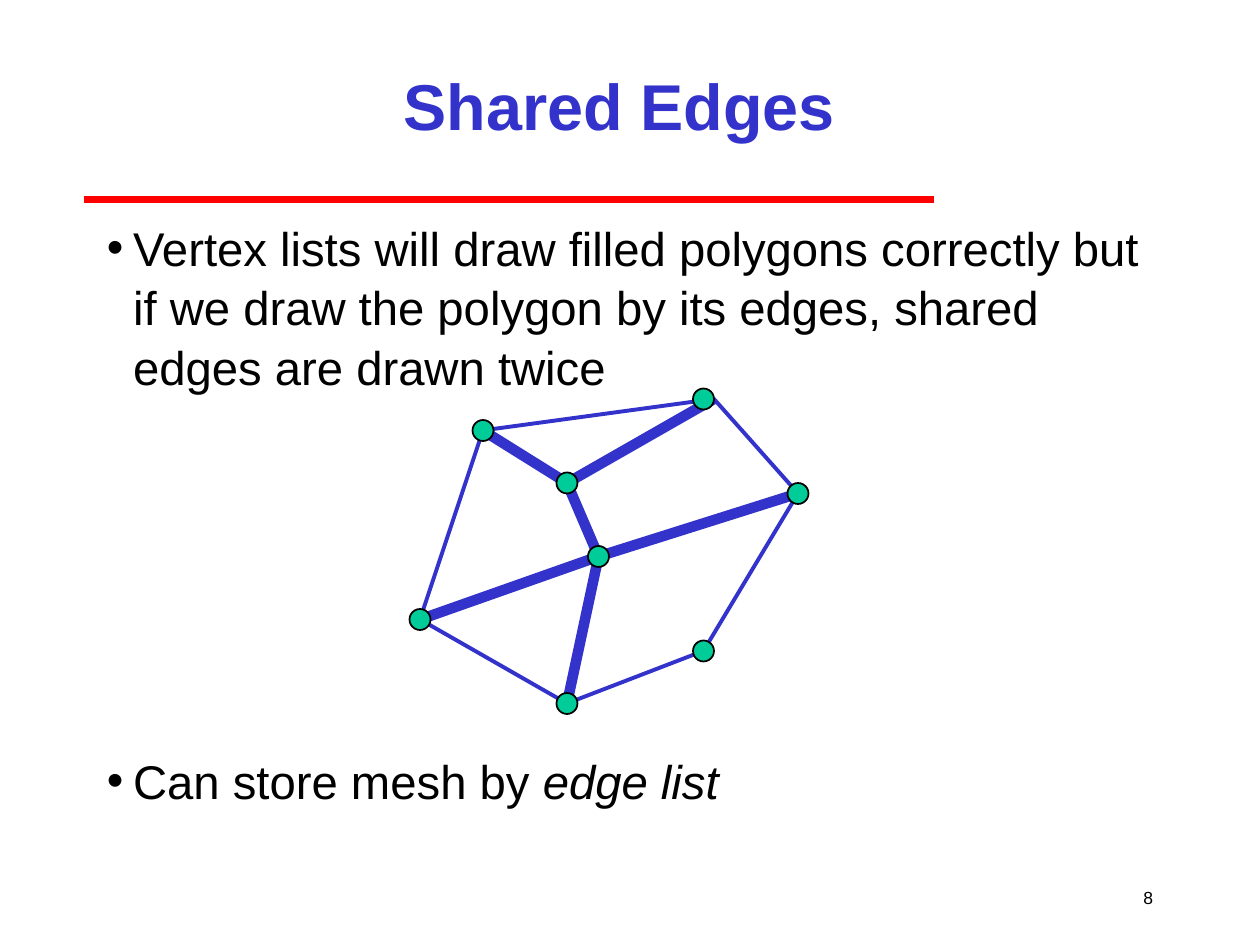
from dataclasses import dataclass

from lxml.etree import SubElement
from pptx import Presentation
from pptx.dml.color import RGBColor as Color
from pptx.enum.shapes import MSO_CONNECTOR as Connector, MSO_SHAPE as Preset
from pptx.enum.text import MSO_ANCHOR as Anchor, PP_ALIGN as Align
from pptx.oxml.ns import qn
from pptx.util import Cm, Pt


@dataclass(frozen=True)
class Theme:
    font: str = "Arial"
    accent: Color = Color(0x33, 0x33, 0xCC)
    rule: Color = Color(0xFF, 0x00, 0x00)
    vertex: Color = Color(0x00, 0xCC, 0x99)
    ink: Color = Color(0x00, 0x00, 0x00)
    title_size: float = 37
    body_size: float = 27
    number_size: float = 10


@dataclass(frozen=True)
class Point:
    x: int
    y: int


@dataclass(frozen=True)
class Box:
    left: int
    top: int
    width: int
    height: int


@dataclass(frozen=True)
class Run:
    text: str
    italic: bool = False


@dataclass(frozen=True)
class Bullet:
    runs: tuple[Run, ...]
    space_before: float


THEME = Theme()

# Mesh vertices, in grid units
LEFT, TOP_LEFT, TOP = Point(40, 59), Point(46, 41), Point(68, 38)
RIGHT, LOW_RIGHT, BOTTOM = Point(76, 47), Point(67, 62), Point(54, 67)
HUB, INNER = Point(57, 53), Point(54, 46)
TOP_DOT = Point(67, 38)

OUTLINE = (LEFT, TOP_LEFT, TOP, RIGHT, LOW_RIGHT, BOTTOM)
SHARED_EDGES = ((LEFT, HUB), (HUB, BOTTOM), (HUB, RIGHT),
                (HUB, INNER), (INNER, TOP), (INNER, TOP_LEFT))
DOTS = (LEFT, TOP_LEFT, HUB, BOTTOM, LOW_RIGHT, INNER, RIGHT, TOP_DOT)

BULLETS = (
    Bullet((Run("Vertex lists will draw filled polygons correctly but if we draw "
                "the polygon by its edges, shared edges are drawn twice"),), 0),
    Bullet((Run("Can store mesh by "), Run("edge list", italic=True)), 202.5),
)


def grid(units: float) -> Cm:
    """The layout grid has twelve units to the inch."""
    return Cm(units * 2.54 / 12)


def add_line(shapes, start: Point, end: Point, color: Color, width: float) -> None:
    line = shapes.add_connector(Connector.STRAIGHT, grid(start.x), grid(start.y),
                                grid(end.x), grid(end.y))
    line.line.color.rgb = color
    line.line.width = Pt(width)
    SubElement(line._element.spPr, qn("a:effectLst"))


def add_outline(shapes, points: tuple[Point, ...]) -> None:
    corners = [(grid(point.x), grid(point.y)) for point in points]
    builder = shapes.build_freeform(*corners[0], scale=1.0)
    builder.add_line_segments(corners[1:], close=True)
    shape = builder.convert_to_shape()
    shape.shadow.inherit = False
    shape.fill.background()
    shape.line.color.rgb = THEME.accent
    shape.line.width = Pt(2.25)


def add_dot(shapes, center: Point) -> None:
    shape = shapes.add_shape(Preset.OVAL, grid(center.x - 1), grid(center.y - 1),
                             grid(2), grid(2))
    shape.shadow.inherit = False
    shape.fill.solid()
    shape.fill.fore_color.rgb = THEME.vertex
    shape.line.color.rgb = THEME.ink
    shape.line.width = Pt(1)


def add_frame(shapes, box: Box, anchor: Anchor, wrap: bool = True):
    shape = shapes.add_textbox(grid(box.left), grid(box.top),
                               grid(box.width), grid(box.height))
    frame = shape.text_frame
    frame.word_wrap = wrap
    frame.vertical_anchor = anchor
    return frame


def add_run(paragraph, content: Run, size: float, color: Color = THEME.ink,
            bold: bool = False) -> None:
    run = paragraph.add_run()
    run.text = content.text
    font = run.font
    font.name, font.size, font.bold, font.italic = THEME.font, Pt(size), bold, content.italic
    font.color.rgb = color


def add_bullets(shapes, box: Box, bullets: tuple[Bullet, ...]) -> None:
    frame = add_frame(shapes, box, Anchor.TOP)
    for index, bullet in enumerate(bullets):
        paragraph = frame.add_paragraph() if index else frame.paragraphs[0]
        paragraph.line_spacing = 1.05
        paragraph.space_before = Pt(bullet.space_before)
        properties = paragraph._p.get_or_add_pPr()
        properties.set("marL", str(grid(2.5)))
        properties.set("indent", str(-grid(2.5)))
        SubElement(properties, qn("a:buFont"), typeface=THEME.font)
        SubElement(properties, qn("a:buChar"), char="•")
        for run in bullet.runs:
            add_run(paragraph, run, THEME.body_size)


def main() -> None:
    presentation = Presentation()
    presentation.slide_width, presentation.slide_height = grid(120), grid(90)
    slide = presentation.slides.add_slide(presentation.slide_layouts[6])
    shapes = slide.shapes

    # Rule below the title
    add_line(shapes, Point(8, 19), Point(89, 19), THEME.rule, 4)

    # Slide number
    number = add_frame(shapes, Box(106, 83, 5, 5), Anchor.MIDDLE, wrap=False).paragraphs[0]
    number.alignment = Align.RIGHT
    add_run(number, Run("8"), THEME.number_size)

    # Title
    title = add_frame(shapes, Box(18, 3, 82, 14), Anchor.MIDDLE).paragraphs[0]
    title.alignment = Align.CENTER
    add_run(title, Run("Shared Edges"), THEME.title_size, THEME.accent, bold=True)

    # Body text, with room for the mesh between the bullets
    add_bullets(shapes, Box(9, 20, 102, 62), BULLETS)

    # Mesh: thin outline, thick shared edges, vertices on top
    mesh = shapes.add_group_shape().shapes
    add_outline(mesh, OUTLINE)
    for start, end in SHARED_EDGES:
        add_line(mesh, start, end, THEME.accent, 6)
    for center in DOTS:
        add_dot(mesh, center)

    presentation.save("out.pptx")


if __name__ == "__main__":
    main()
